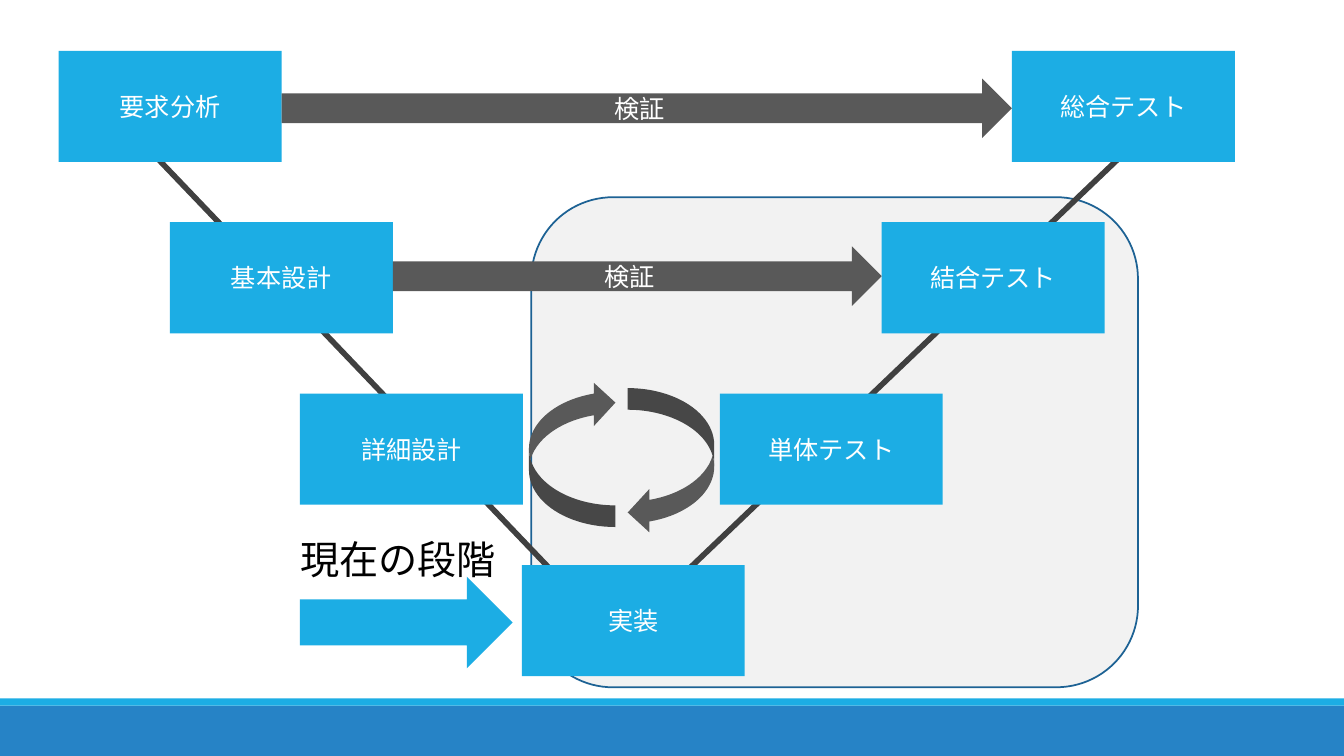
from dataclasses import dataclass

from lxml.etree import SubElement
from pptx import Presentation
from pptx.dml.color import RGBColor
from pptx.enum.shapes import MSO_CONNECTOR, MSO_SHAPE
from pptx.enum.text import MSO_ANCHOR, PP_ALIGN
from pptx.oxml.ns import qn
from pptx.util import Cm, Pt


@dataclass(frozen=True)
class Theme:
    font: str = "Calibri"
    label_size: int = 18
    note_size: int = 28
    accent: str = "1CADE4"
    band: str = "2683C6"
    panel: str = "F2F2F2"
    panel_border: str = "1D6294"
    flow: str = "595959"
    spine: str = "404040"
    light: str = "FFFFFF"
    dark: str = "000000"


@dataclass(frozen=True)
class Box:
    left: float
    top: float
    width: float
    height: float

    @property
    def right(self):
        return self.left + self.width

    def inside(self, left, top, width, height):
        return Box(self.left + left, self.top + top, width, height)

    def lengths(self):
        return Cm(self.left), Cm(self.top), Cm(self.width), Cm(self.height)


THEME = Theme()
PHASE_WIDTH, PHASE_HEIGHT, PHASE_STEP = 5.62, 2.8, 4.32
CHECK_HEIGHT = 1.5
LEVELS = [
    (("要求分析", 0), ("総合テスト", 24.02)),
    (("基本設計", 2.8), ("結合テスト", 20.74)),
    (("詳細設計", 6.08), ("単体テスト", 16.66)),
    (("実装", 11.67),),
]
CHECK_OFFSETS = [0.7, 0.61]


def write(shape, text, size, color, align):
    frame = shape.text_frame
    frame.text = text
    paragraph = frame.paragraphs[0]
    paragraph.alignment = align
    font = paragraph.runs[0].font
    font.name = THEME.font
    font.size = Pt(size)
    font.color.rgb = RGBColor.from_string(color)


def add_block(slide, kind, box, fill, label=""):
    block = slide.shapes.add_shape(kind, *box.lengths())
    block.shadow.inherit = False
    block.fill.solid()
    block.fill.fore_color.rgb = RGBColor.from_string(fill)
    block.line.fill.background()
    if label:
        block.text_frame.vertical_anchor = MSO_ANCHOR.MIDDLE
        write(block, label, THEME.label_size, THEME.light, PP_ALIGN.CENTER)
    return block


def add_footer(slide, box):
    add_block(slide, MSO_SHAPE.RECTANGLE, box.inside(0, 0.18, box.width, box.height - 0.18), THEME.band)
    add_block(slide, MSO_SHAPE.RECTANGLE, box.inside(0, 0, box.width, 0.18), THEME.accent)


def add_scope_panel(slide, box):
    panel = add_block(slide, MSO_SHAPE.ROUNDED_RECTANGLE, box, THEME.panel)
    panel.line.color.rgb = RGBColor.from_string(THEME.panel_border)
    panel.line.width = Pt(1.25)


def add_spines(slide, box):
    for x1, y1, x2, y2 in [(15.54, 13.38, 27.7, 1.77), (2, 2.2, 13.61, 14.34)]:
        spine = slide.shapes.add_connector(
            MSO_CONNECTOR.STRAIGHT,
            Cm(box.left + x1), Cm(box.top + y1), Cm(box.left + x2), Cm(box.top + y2),
        )
        spine.line.color.rgb = RGBColor.from_string(THEME.spine)
        spine.line.width = Pt(4)
        SubElement(spine.element.spPr, qn("a:effectLst"))


def add_phases(slide, box):
    for level, phases in enumerate(LEVELS):
        for name, left in phases:
            phase_box = box.inside(left, level * PHASE_STEP, PHASE_WIDTH, PHASE_HEIGHT)
            add_block(slide, MSO_SHAPE.RECTANGLE, phase_box, THEME.accent, name)


def add_checks(slide, box):
    for level, offset in enumerate(CHECK_OFFSETS):
        (_, design_left), (_, test_left) = LEVELS[level]
        start = design_left + PHASE_WIDTH
        check_box = box.inside(start, level * PHASE_STEP + offset, test_left - start, CHECK_HEIGHT)
        add_block(slide, MSO_SHAPE.RIGHT_ARROW, check_box, THEME.flow, "検証")


def add_cycle(slide, box):
    width, height = 2.18, 3.68
    add_block(slide, MSO_SHAPE.CURVED_LEFT_ARROW,
              box.inside(box.width - width, box.height - height, width, height), THEME.flow)
    returning = add_block(slide, MSO_SHAPE.CURVED_LEFT_ARROW, box.inside(0, 0, width, height), THEME.flow)
    returning.rotation = 180


def add_current_stage(slide, box):
    add_block(slide, MSO_SHAPE.RIGHT_ARROW, box.inside(0.24, 1.17, 5.36, 2.31), THEME.accent)
    stage = slide.shapes.add_textbox(*box.inside(0, 0, box.width, 1.45).lengths())
    stage.text_frame.word_wrap = False
    write(stage, "現在の段階", THEME.note_size, THEME.dark, PP_ALIGN.LEFT)


def build_v_model(slide, box):
    add_scope_panel(slide, box.inside(11.91, 3.69, 15.29, 12.35))
    add_spines(slide, box)
    add_phases(slide, box)
    add_checks(slide, box)
    add_cycle(slide, box.inside(11.85, 8.32, 4.67, 3.86))
    add_current_stage(slide, box.inside(5.84, 12.08, 5.56, 3.48))


def main():
    deck = Presentation()
    deck.slide_width, deck.slide_height = Cm(33.87), Cm(19.05)
    slide = deck.slides.add_slide(deck.slide_layouts[6])
    add_footer(slide, Box(0, 17.6, 33.87, 1.45))
    build_v_model(slide, Box(1.48, 1.28, 29.64, 15.76))
    deck.save("out.pptx")


if __name__ == "__main__":
    main()
